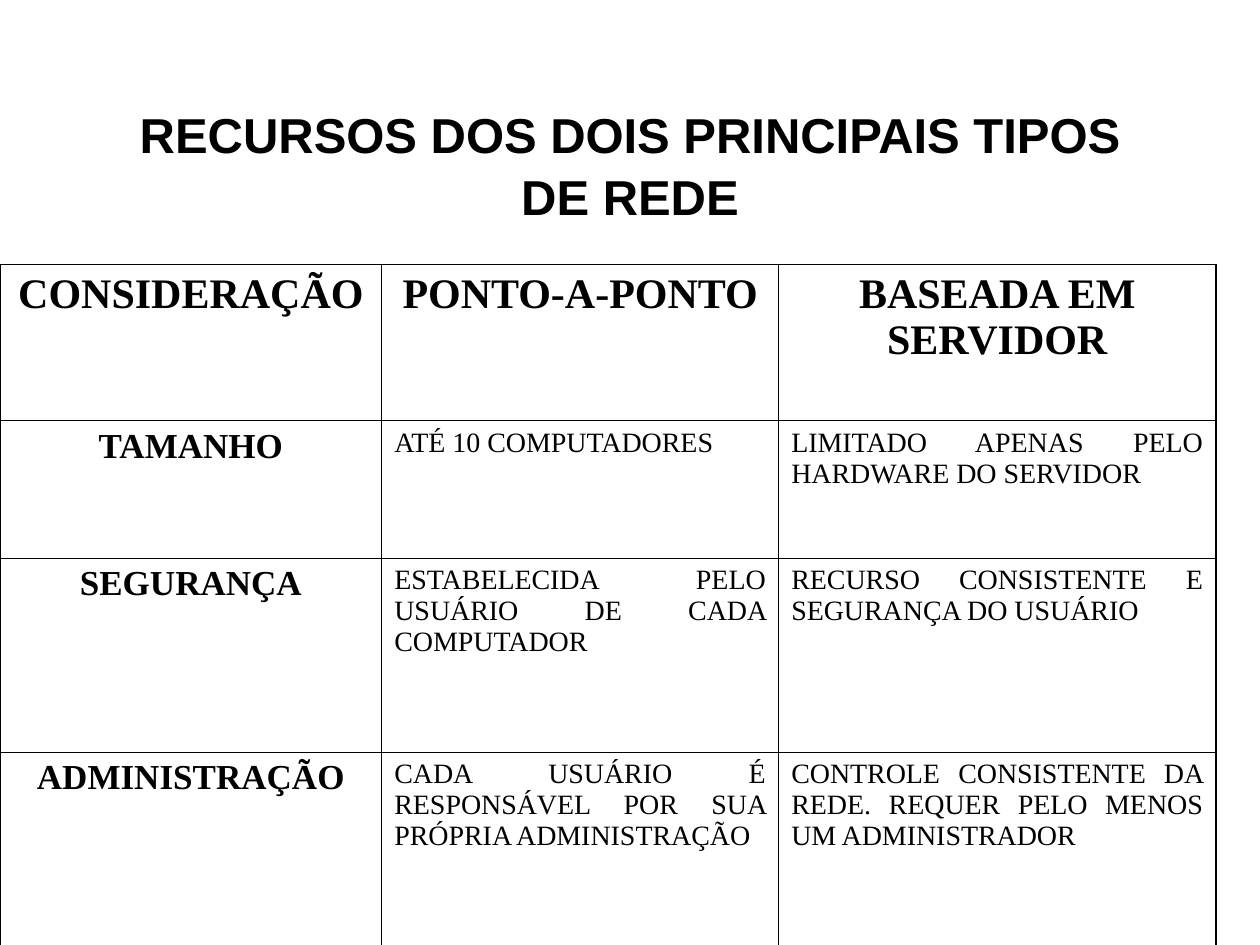
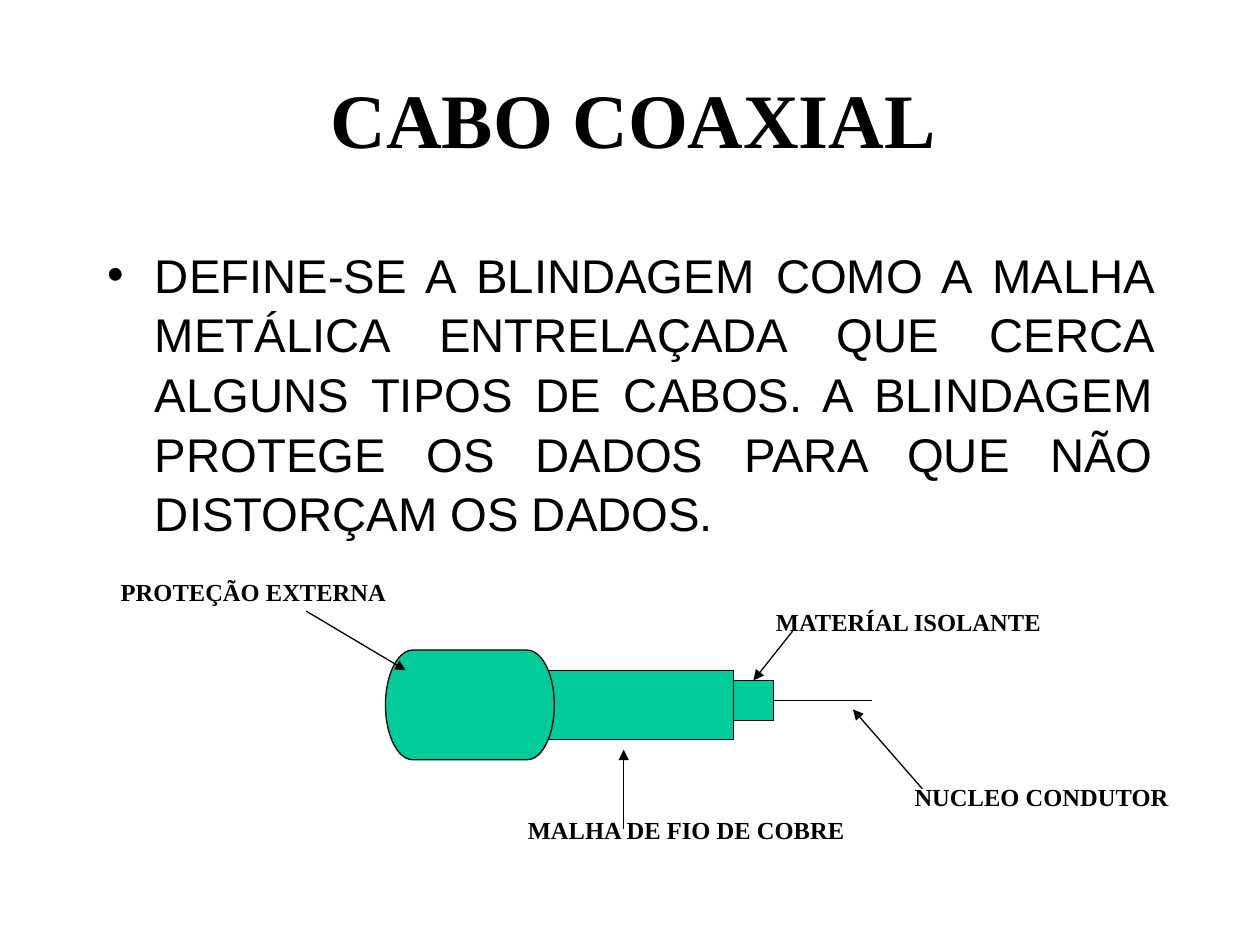
from lxml.etree import SubElement
from pptx import Presentation
from pptx.dml.color import RGBColor
from pptx.enum.shapes import MSO_CONNECTOR, MSO_SHAPE
from pptx.enum.text import MSO_ANCHOR, MSO_AUTO_SIZE, PP_ALIGN
from pptx.oxml.ns import qn
from pptx.util import Emu, Pt

PX = 9144  # EMU per px, 100 px to the inch
COLORS = {"ink": "000000", "paper": "FFFFFF", "cable": "00CC99"}
SANS, SERIF = "Arial", "Times New Roman"
THICK, THIN, LINE = 1.08, 0.45, 0.75
SANS_SPACING = 1.05
TITLE_SIZE = (850, 125)
TITLE_ONLY, TITLE_AND_BODY = 5, 1

NETWORK_TITLE = "RECURSOS DOS DOIS PRINCIPAIS TIPOS DE REDE"
NETWORK_TABLE = [
    ("CONSIDERAÇÃO", "PONTO-A-PONTO", "BASEADA EM SERVIDOR"),
    ("TAMANHO", "ATÉ 10 COMPUTADORES", "LIMITADO APENAS PELO HARDWARE DO SERVIDOR"),
    ("SEGURANÇA", "ESTABELECIDA PELO USUÁRIO DE CADA COMPUTADOR",
     "RECURSO CONSISTENTE E SEGURANÇA DO USUÁRIO"),
    ("ADMINISTRAÇÃO", "CADA USUÁRIO É RESPONSÁVEL POR SUA PRÓPRIA ADMINISTRAÇÃO",
     "CONTROLE CONSISTENTE DA REDE. REQUER PELO MENOS UM ADMINISTRADOR"),
]
TABLE_TOP = 210
COLUMN_WIDTHS = (303, 315, 347)
ROW_HEIGHTS = (124, 109, 154, 154)

CABLE_TITLE = "CABO COAXIAL"
CABLE_TEXT = ("DEFINE-SE A BLINDAGEM COMO A MALHA METÁLICA ENTRELAÇADA QUE CERCA ALGUNS "
              "TIPOS DE CABOS. A BLINDAGEM PROTEGE OS DADOS PARA QUE NÃO DISTORÇAM OS DADOS.")
BODY_BOX = (75, 188, 850, 479)
BODY_INDENT = 38
CORE_LINE = (566, 556, 692, 556)
CABLE_PARTS = {  # back to front
    "braid": (MSO_SHAPE.FLOWCHART_PROCESS, (424, 532, 158, 55)),
    "jacket": (MSO_SHAPE.FLOWCHART_TERMINATOR, (306, 516, 134, 87)),
    "insulation": (MSO_SHAPE.FLOWCHART_PROCESS, (582, 540, 32, 32)),
}
LABELS = [  # text, box, arrow, part whose top the arrow joins
    ("NUCLEO CONDUTOR", (716, 616, 222, 34), (732, 626, 677, 563), None),
    ("MATERÍAL ISOLANTE", (606, 477, 233, 34), (629, 501, 598, 540), "insulation"),
    ("MALHA DE FIO DE COBRE", (409, 642, 272, 34), (495, 658, 495, 595), None),
    ("PROTEÇÃO EXTERNA", (86, 453, 231, 34), (243, 485, 322, 532), None),
]


def emu(lengths):
    return [Emu(length * PX) for length in lengths]


def color(name):
    return RGBColor.from_string(COLORS[name])


def write(text_frame, text, font_name, size, bold=False, align=PP_ALIGN.LEFT):
    text_frame.text = text
    paragraph = text_frame.paragraphs[0]
    paragraph.alignment = align
    paragraph.space_before = Pt(0)
    paragraph.line_spacing = SANS_SPACING if font_name == SANS else 1.0
    font = paragraph.runs[0].font
    font.name, font.size, font.bold = font_name, Pt(size), bold
    font.color.rgb = color("ink")
    return paragraph


def place(shape, box):
    shape.left, shape.top, shape.width, shape.height = emu(box)


def add_titled_slide(presentation, layout, text, position, font_name, size):
    slide = presentation.slides.add_slide(presentation.slide_layouts[layout])
    slide.background.fill.solid()
    slide.background.fill.fore_color.rgb = color("paper")
    title = slide.shapes.title
    place(title, position + TITLE_SIZE)
    title.text_frame.auto_size = MSO_AUTO_SIZE.NONE
    title.text_frame.vertical_anchor = MSO_ANCHOR.MIDDLE
    write(title.text_frame, text, font_name, size, True, PP_ALIGN.CENTER)
    return slide


def set_borders(cell, widths):
    """Draw the left, right, top and bottom borders, with widths in points."""
    properties = cell._tc.get_or_add_tcPr()
    for index, (side, width) in enumerate(zip("LRTB", widths)):
        border = properties.makeelement(qn(f"a:ln{side}"), {"w": str(Pt(width))})
        fill = SubElement(border, qn("a:solidFill"))
        SubElement(fill, qn("a:srgbClr"), val=COLORS["ink"])
        properties.insert(index, border)


def add_network_table(slide):
    rows, columns = len(ROW_HEIGHTS), len(COLUMN_WIDTHS)
    box = emu((0, TABLE_TOP, sum(COLUMN_WIDTHS), sum(ROW_HEIGHTS)))
    table = slide.shapes.add_table(rows, columns, *box).table
    table.first_row = table.horz_banding = False
    for column, width in zip(table.columns, emu(COLUMN_WIDTHS)):
        column.width = width
    for row, height in zip(table.rows, emu(ROW_HEIGHTS)):
        row.height = height
    for r, texts in enumerate(NETWORK_TABLE):
        for c, text in enumerate(texts):
            cell = table.cell(r, c)
            heading = r == 0 or c == 0
            size = 24 if r == 0 else 20 if c == 0 else 16
            align = PP_ALIGN.CENTER if heading else PP_ALIGN.JUSTIFY
            write(cell.text_frame, text, SERIF, size, heading, align)
            cell.fill.background()
            on_edge = (c == 0, c == columns - 1, r == 0, r == rows - 1)
            set_borders(cell, [THICK if edge else THIN for edge in on_edge])


def add_body(slide):
    body = slide.placeholders[1]
    place(body, BODY_BOX)
    body.text_frame.auto_size = MSO_AUTO_SIZE.NONE
    paragraph = write(body.text_frame, CABLE_TEXT, SANS, 27, align=PP_ALIGN.JUSTIFY)
    properties = paragraph._p.get_or_add_pPr()
    properties.set("marL", str(BODY_INDENT * PX))
    properties.set("indent", str(-BODY_INDENT * PX))
    SubElement(properties, qn("a:buChar"), char="•")


def add_line(slide, ends, arrow=False):
    connector = slide.shapes.add_connector(MSO_CONNECTOR.STRAIGHT, *emu(ends))
    connector.line.width = Pt(LINE)
    connector.line.color.rgb = color("ink")
    if arrow:
        SubElement(connector.line._get_or_add_ln(), qn("a:tailEnd"), type="triangle")
    SubElement(connector._element.spPr, qn("a:effectLst"))
    return connector


def add_cable(slide):
    add_line(slide, CORE_LINE)
    parts = {}
    for name, (preset, box) in CABLE_PARTS.items():
        shape = parts[name] = slide.shapes.add_shape(preset, *emu(box))
        shape.shadow.inherit = False
        shape.fill.solid()
        shape.fill.fore_color.rgb = color("cable")
        shape.line.color.rgb = color("ink")
        shape.line.width = Pt(LINE)
    for text, box, ends, part in LABELS:
        label = slide.shapes.add_textbox(*emu(box))
        label.text_frame.word_wrap = False
        label.text_frame.auto_size = MSO_AUTO_SIZE.SHAPE_TO_FIT_TEXT
        write(label.text_frame, text, SERIF, 14, True)
        arrow = add_line(slide, ends, arrow=True)
        if part:
            arrow.end_connect(parts[part], 0)


def main():
    presentation = Presentation()
    presentation.slide_width, presentation.slide_height = emu((1000, 750))
    network = add_titled_slide(presentation, TITLE_ONLY, NETWORK_TITLE, (75, 67), SANS, 28)
    add_network_table(network)
    cable = add_titled_slide(presentation, TITLE_AND_BODY, CABLE_TITLE, (78, 31), SERIF, 44)
    add_body(cable)
    add_cable(cable)
    presentation.save("out.pptx")


if __name__ == "__main__":
    main()
